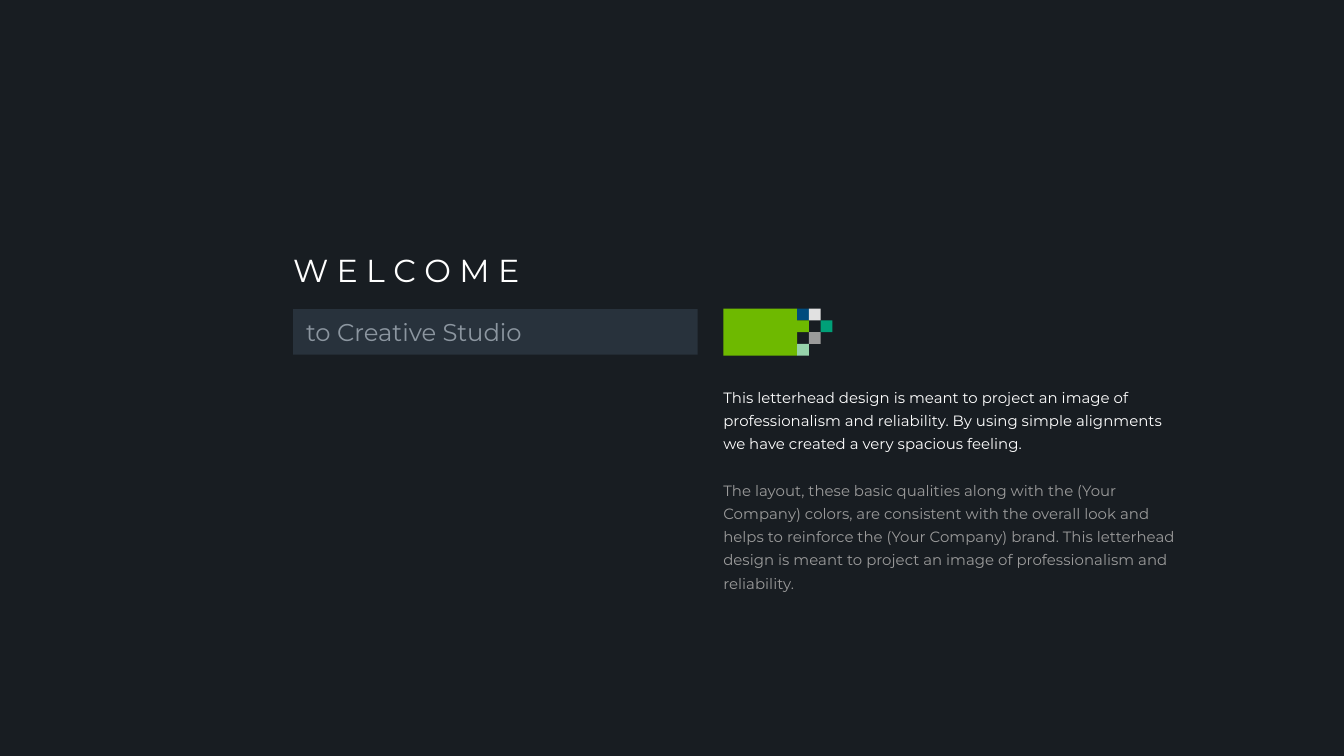
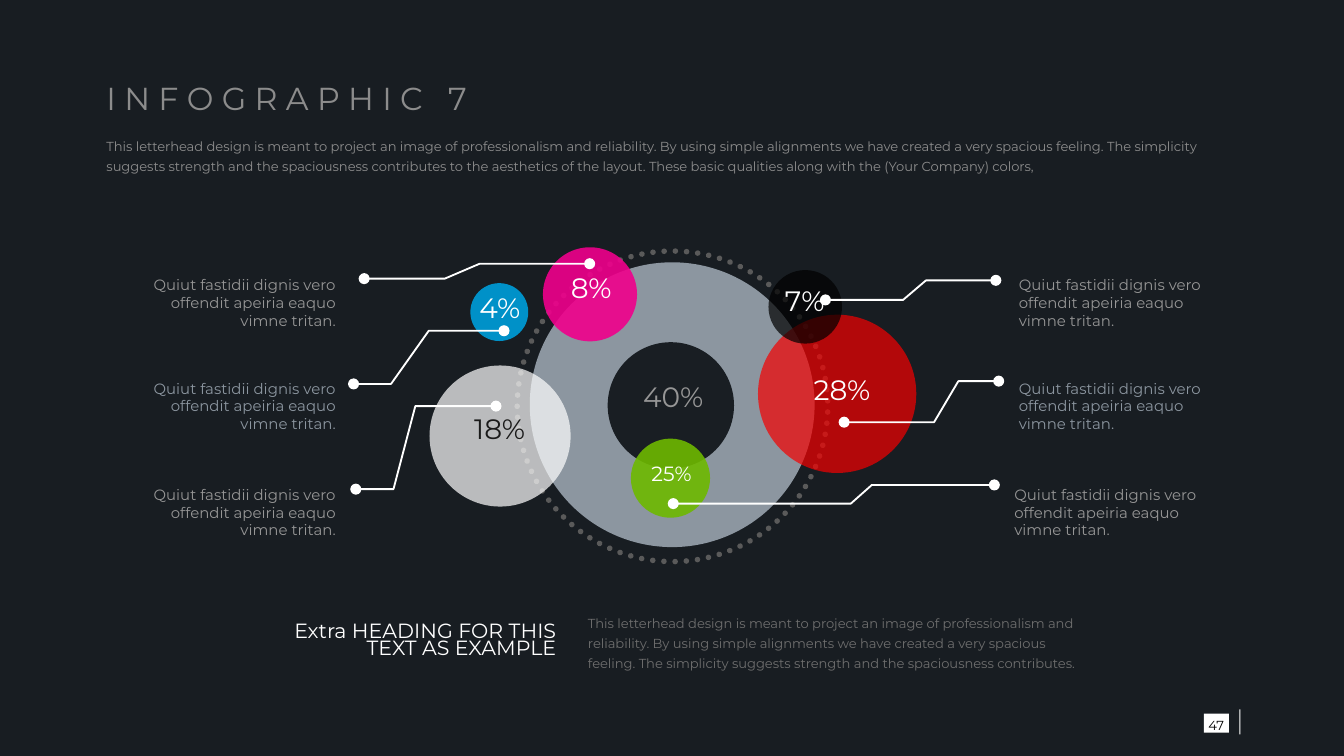
from lxml import etree
from pptx import Presentation
from pptx.dml.color import RGBColor
from pptx.enum.dml import MSO_LINE
from pptx.enum.shapes import MSO_SHAPE
from pptx.enum.text import MSO_ANCHOR, MSO_AUTO_SIZE, PP_ALIGN
from pptx.oxml.ns import qn
from pptx.util import Pt

RECT, OVAL = MSO_SHAPE.RECTANGLE, MSO_SHAPE.OVAL
LEFT, CENTER, RIGHT = PP_ALIGN.LEFT, PP_ALIGN.CENTER, PP_ALIGN.RIGHT
MIDDLE, NO_FIT = MSO_ANCHOR.MIDDLE, MSO_AUTO_SIZE.NONE
ROUND_DOT = MSO_LINE.ROUND_DOT

FONT = "Montserrat"
NIGHT = RGBColor(0x18, 0x1D, 0x22)
HOLE = RGBColor(0x19, 0x1E, 0x23)
BAR = RGBColor(0x28, 0x32, 0x3C)
WHITE = RGBColor(0xFF, 0xFF, 0xFF)
BLACK = RGBColor(0x00, 0x00, 0x00)
INK = RGBColor(0x1A, 0x1A, 0x1A)
STEEL = RGBColor(0x8C, 0x96, 0xA0)
SILVER = RGBColor(0xE1, 0xE1, 0xE1)
ASH = RGBColor(0x9B, 0x9B, 0x9B)
GRAY = RGBColor(0x96, 0x96, 0x96)
TITLE_GRAY = RGBColor(0x8C, 0x8C, 0x8C)
DIM = RGBColor(0x6E, 0x6E, 0x6E)
DOTS = RGBColor(0x5A, 0x5A, 0x5A)
GREEN = RGBColor(0x6E, 0xB9, 0x00)
NAVY = RGBColor(0x00, 0x4B, 0x7D)
MINT = RGBColor(0x96, 0xD2, 0xAA)
TEAL = RGBColor(0x00, 0xA0, 0x78)
PINK = RGBColor(0xF0, 0x00, 0x8C)
BLUE = RGBColor(0x00, 0x91, 0xC8)
RED = RGBColor(0xF5, 0x00, 0x00)

CAPTION = "Quiut fastidii dignis vero offendit apeiria eaquo vimne tritan."
PROJECT = ("This letterhead design is meant to project an image of "
           "professionalism and reliability.")
SPACIOUS = (PROJECT + " By using simple alignments we have created "
            "a very spacious feeling.")


# Shared helpers
def points(*values):
    return [Pt(v) for v in values]


def write(tf, lines, size, align=LEFT, spacing=1.0, gap=0):
    """Fill a text frame with (text, colour) paragraphs."""
    tf.margin_left = tf.margin_top = tf.margin_right = tf.margin_bottom = 0
    tf.word_wrap, tf.auto_size, tf.vertical_anchor = True, NO_FIT, MIDDLE
    tf.text = "\n".join(text for text, _ in lines)
    for i, (p, (_, color)) in enumerate(zip(tf.paragraphs, lines)):
        p.alignment, p.line_spacing = align, spacing
        p.space_before, p.space_after = Pt(gap if i else 0), Pt(0)
        font = p.runs[0].font
        font.name, font.size, font.color.rgb = FONT, Pt(size), color


def add_text(shapes, box, text, size, color, align=LEFT, spacing=1.0):
    tb = shapes.add_textbox(*points(*box))
    write(tb.text_frame, [(text, color)], size, align, spacing)


def add_filled(shapes, kind, box, color, alpha=100):
    sp = shapes.add_shape(kind, *points(*box))
    sp.shadow.inherit = False
    sp.fill.solid()
    sp.fill.fore_color.rgb = color
    sp.line.fill.background()
    if alpha < 100:
        clr = sp.fill._xPr.find(qn("a:solidFill"))[0]
        etree.SubElement(clr, qn("a:alpha"), val=str(alpha * 1000))
    return sp


def circle_box(cx, cy, d):
    return cx - d / 2, cy - d / 2, d, d


def place(ph, box):
    ph.left, ph.top, ph.width, ph.height = points(*box)


def set_title(slide, box, text, color, spacing=1.0):
    place(slide.shapes.title, box)
    write(slide.shapes.title.text_frame, [(text, color)], 17, spacing=spacing)


def set_body(slide, box, lines, size, gap=0):
    body = slide.placeholders[1]
    place(body, box)
    write(body.text_frame, lines, size, spacing=1.3, gap=gap)
    for p in body.text_frame.paragraphs:
        pPr = p._p.get_or_add_pPr()
        pPr.set("marL", "0")
        pPr.set("indent", "0")
        etree.SubElement(pPr, qn("a:buNone"))


# Welcome slide
def pixel_mark(slide, x, y):
    """Green block that breaks up into pixels on its right side."""
    shapes = slide.shapes.add_group_shape().shapes
    px, block = 6.3, 39.6
    add_filled(shapes, RECT, (x, y, block, 4 * px), GREEN)
    for col, row, color in ((0, 0, NAVY), (1, 0, SILVER), (0, 1, GREEN),
                            (1, 2, ASH), (0, 3, MINT), (2, 1, TEAL)):
        add_filled(shapes, RECT,
                   (x + block + col * px, y + row * px, px, px), color)


def subtitle_bar(slide, x, y, w, h):
    add_filled(slide.shapes, RECT, (x, y, w, h), BAR)
    add_text(slide.shapes, (x + 7, y + 2.4, 140, 19.5),
             "to Creative Studio", 13, STEEL)


def welcome_slide(slide):
    set_title(slide, (157, 132.5, 196.5, 24), "W E L C O M E", WHITE)
    subtitle_bar(slide, 157, 165.6, 216.7, 24.5)
    pixel_mark(slide, 387.5, 165.4)
    layout = ("The layout, these basic qualities along with the (Your Company) "
              "colors, are consistent with the overall look and helps to "
              "reinforce the (Your Company) brand. " + PROJECT)
    set_body(slide, (387.5, 214, 245.5, 94.3),
             [(SPACIOUS, WHITE), (layout, ASH)], 8, gap=12.6)


# Infographic slide
def bubble_chart(slide, x, y):
    """Dotted ring and disc with percentage bubbles."""
    ring = slide.shapes.add_shape(
        OVAL, *points(*circle_box(x + 130.3, y + 85.7, 166.4)))
    ring.shadow.inherit = False
    ring.fill.background()
    ring.line.color.rgb, ring.line.width = DOTS, Pt(3)
    ring.line.dash_style = ROUND_DOT
    ring.get_or_add_ln().set("cap", "rnd")
    add_filled(slide.shapes, OVAL,
               circle_box(x + 130.1, y + 84.8, 152.6), STEEL)

    # centre, diameter, fill, opacity, label, its offset, size and colour
    bubbles = (
        (86.1, 25.7, 50.4, PINK, 90, "8%", 0.7, -2.5, 15, WHITE),
        (37.5, 35.2, 31, BLUE, 100, "4%", 0.3, -1.4, 15, WHITE),
        (37.9, 101.6, 75.6, WHITE, 70, "18%", -0.2, -2.8, 15, INK),
        (129.4, 85.2, 67.7, HOLE, 100, "40%", 1.3, -3.9, 15, GRAY),
        (218.5, 79, 84.8, RED, 70, "28%", 2.6, -1.1, 15, WHITE),
        (201.4, 32.4, 39.4, BLACK, 70, "7%", -0.3, -2.2, 15, WHITE),
        (129.2, 124.2, 42.4, GREEN, 90, "25%", 0.6, -1.7, 11, WHITE),
    )
    for cx, cy, d, fill, alpha, label, dx, dy, size, color in bubbles:
        shapes = slide.shapes.add_group_shape().shapes
        add_filled(shapes, OVAL, circle_box(x + cx, y + cy, d), fill, alpha)
        add_text(shapes, (x + cx + dx - 18, y + cy + dy - 9.7, 36, 19.4),
                 label, size, color, CENTER, 0.9)


def callout(slide, box, align, color, xs, y_text, y_bubble):
    """Caption with a bent leader; leader points are relative to the box."""
    x, y = box[:2]
    add_text(slide.shapes, box, CAPTION, 8, color, align)
    ys = (y_text, y_text, y_bubble, y_bubble)
    nodes = [points(x + dx, y + dy) for dx, dy in zip(xs, ys)]
    builder = slide.shapes.build_freeform(*nodes[0])
    builder.add_line_segments(nodes[1:], close=False)
    leader = builder.convert_to_shape()
    leader.shadow.inherit = False
    leader.fill.background()
    leader.line.color.rgb, leader.line.width = WHITE, Pt(1)
    for end in ("a:headEnd", "a:tailEnd"):
        etree.SubElement(leader.get_or_add_ln(), qn(end), type="oval")


def callouts(slide, top):
    # per row: offset, colour, then left and right (x, width, leader)
    rows = (
        (0, GRAY,
         (73.4, 106.6, (121.7, 164.9, 183.6, 242.5), 2.3, -5.7),
         (545.8, 106.6, (-12.3, -49.7, -62, -103.6), 3.2, 13.7)),
        (55.4, STEEL,
         (73.4, 106.6, (116, 136.1, 156.3, 196.6), 3.3, -25.2),
         (545.8, 106.6, (-10.8, -32.4, -45.4, -93.6), 1.8, 23.8)),
        (112.2, GRAY,
         (70.6, 109.4, (120, 140.2, 151.9, 195.1), 2.9, -41.6),
         (543.4, 109.4, (-10.7, -76.3, -87.6, -182.7), 0.6, 10.6)),
    )
    for dy, color, *sides in rows:
        for (x, w, *leader), align in zip(sides, (RIGHT, LEFT)):
            callout(slide, (x, top + dy, w, 30.2), align, color, *leader)


def extra_heading(slide, x, y):
    add_text(slide.shapes, (x, y + 3.6, 149.8, 26.6),
             "Extra HEADING FOR THIS TEXT AS EXAMPLE", 11, WHITE, RIGHT, 0.7)
    add_text(slide.shapes, (x + 166.7, y, 270.7, 33.1),
             SPACIOUS + " The simplicity suggests strength and the "
             "spaciousness contributes.", 7, DIM, spacing=1.3)


def page_number(slide, x, y, number):
    shapes = slide.shapes.add_group_shape().shapes
    add_filled(shapes, RECT, (x, y, 13.4, 10.2), WHITE)
    add_text(shapes, (x - 1.7, y - 0.7, 16.6, 11.5), number, 7, BLACK,
             CENTER, 1.3)
    add_filled(shapes, RECT, (x + 19, y - 2.4, 0.5, 13.5), WHITE)


def infographic_slide(slide):
    set_title(slide, (57, 43.2, 317.5, 23.8), "I N F O G R A P H I C   7",
              TITLE_GRAY, 0.7)
    intro = (SPACIOUS + " The simplicity suggests strength and the "
             "spaciousness contributes to the aesthetics of the layout. These "
             "basic qualities along with the (Your Company) colors,")
    set_body(slide, (57, 71.4, 598.3, 22.3), [(intro, TITLE_GRAY)], 7)
    bubble_chart(slide, 230, 132)
    callouts(slide, 147)
    extra_heading(slide, 148.3, 326.9)
    page_number(slide, 645, 382.4, "47")


def main():
    prs = Presentation()
    prs.slide_width, prs.slide_height = points(720, 405)
    fill = prs.slide_master.background.fill
    fill.solid()
    fill.fore_color.rgb = NIGHT
    for build in (welcome_slide, infographic_slide):
        build(prs.slides.add_slide(prs.slide_layouts[1]))
    prs.save("out.pptx")


if __name__ == "__main__":
    main()
